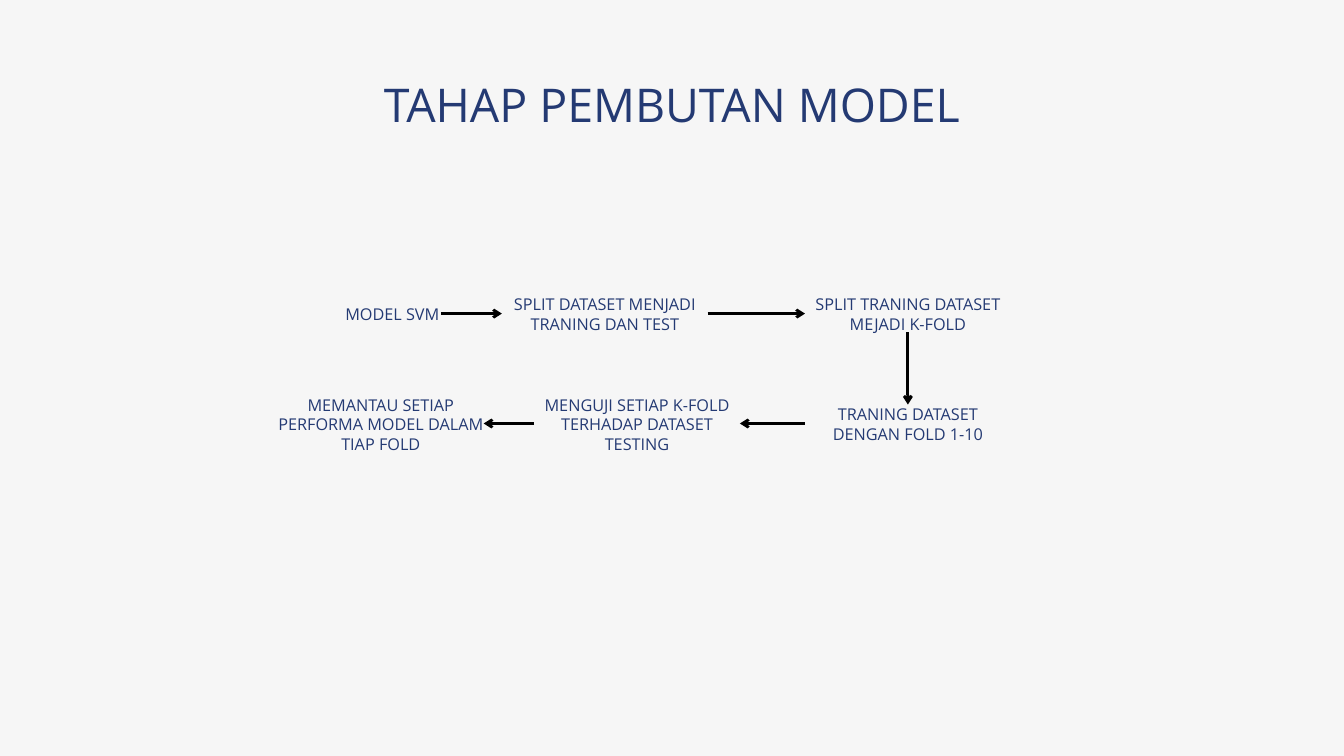
from collections import namedtuple
from itertools import pairwise

from lxml.etree import SubElement
from pptx import Presentation
from pptx.dml.color import RGBColor
from pptx.enum.shapes import MSO_CONNECTOR
from pptx.enum.text import MSO_ANCHOR, MSO_AUTO_SIZE, PP_ALIGN
from pptx.oxml.ns import qn
from pptx.util import Pt

PX = 9525  # EMU per px, 96 px to the inch
FONT, NAVY, BLACK, PAPER = "Open Sans", "243A73", "000000", "F6F6F6"

Step = namedtuple("Step", "text left middle width lines")
LINE_HEIGHTS = {1: 28, 2: 55, 3: 83}
TOP_ROW, BOTTOM_ROW = 448, 605  # middles of the two rows
STEPS = [
    Step("MODEL SVM", 491, TOP_ROW, 139, 1),
    Step("SPLIT DATASET MENJADI TRANING DAN TEST", 717, TOP_ROW, 294, 2),
    Step("SPLIT TRANING DATASET MEJADI K-FOLD", 1150, TOP_ROW, 294, 2),
    Step("TRANING DATASET DENGAN FOLD 1-10", 1150, BOTTOM_ROW, 294, 2),
    Step("MENGUJI SETIAP K-FOLD TERHADAP DATASET TESTING", 763, BOTTOM_ROW, 294, 3),
    Step("MEMANTAU SETIAP PERFORMA MODEL DALAM TIAP FOLD", 397, BOTTOM_ROW, 294, 3),
]


def px(*lengths):
    return [length * PX for length in lengths]


def color(hex_value):
    return RGBColor.from_string(hex_value)


def set_text(sp, text, size, spacing):
    tf = sp.text_frame
    tf.text = text
    tf.word_wrap = True
    tf.auto_size = MSO_AUTO_SIZE.SHAPE_TO_FIT_TEXT
    tf.vertical_anchor = MSO_ANCHOR.TOP
    tf.margin_left = tf.margin_right = tf.margin_top = tf.margin_bottom = 0
    p = tf.paragraphs[0]
    p.alignment = PP_ALIGN.CENTER
    p.line_spacing = Pt(spacing)
    r = p.runs[0]
    r.font.name = FONT
    r.font.size = Pt(size)
    r.font.color.rgb = color(NAVY)


def add_title(s, text):
    sp = s.shapes.title
    sp.left, sp.top, sp.width, sp.height = px(444, 108, 1032, 80)
    set_text(sp, text, 49.8, 59.7)


def add_step(s, step):
    height = LINE_HEIGHTS[step.lines]
    top = step.middle - height // 2
    sp = s.shapes.add_textbox(*px(step.left, top, step.width, height))
    set_text(sp, step.text, 17.4, 20.9)


def add_arrow(s, start, end):
    line = s.shapes.add_connector(MSO_CONNECTOR.STRAIGHT, *px(*start, *end))
    line.line.color.rgb = color(BLACK)
    line.line.width = Pt(3)
    SubElement(line.line._get_or_add_ln(), qn("a:tailEnd"), type="arrow")
    SubElement(line._element.spPr, qn("a:effectLst"))


def arrow_ends(a, b):
    """Facing edges of two successive steps."""
    if a.middle != b.middle:
        center = a.left + a.width // 2
        return ((center, a.middle + LINE_HEIGHTS[a.lines] // 2),
                (center, b.middle - LINE_HEIGHTS[b.lines] // 2))
    if a.left < b.left:
        return (a.left + a.width, a.middle), (b.left, b.middle)
    return (a.left, a.middle), (b.left + b.width, b.middle)


def main():
    prs = Presentation()
    prs.slide_width, prs.slide_height = px(1920, 1080)
    s = prs.slides.add_slide(prs.slide_layouts[5])
    s.background.fill.solid()
    s.background.fill.fore_color.rgb = color(PAPER)

    # Title
    add_title(s, "TAHAP PEMBUTAN MODEL")

    # Steps of the flow
    for step in STEPS:
        add_step(s, step)

    # Arrows from each step to the next
    for a, b in pairwise(STEPS):
        add_arrow(s, *arrow_ends(a, b))

    prs.save("out.pptx")


if __name__ == "__main__":
    main()
